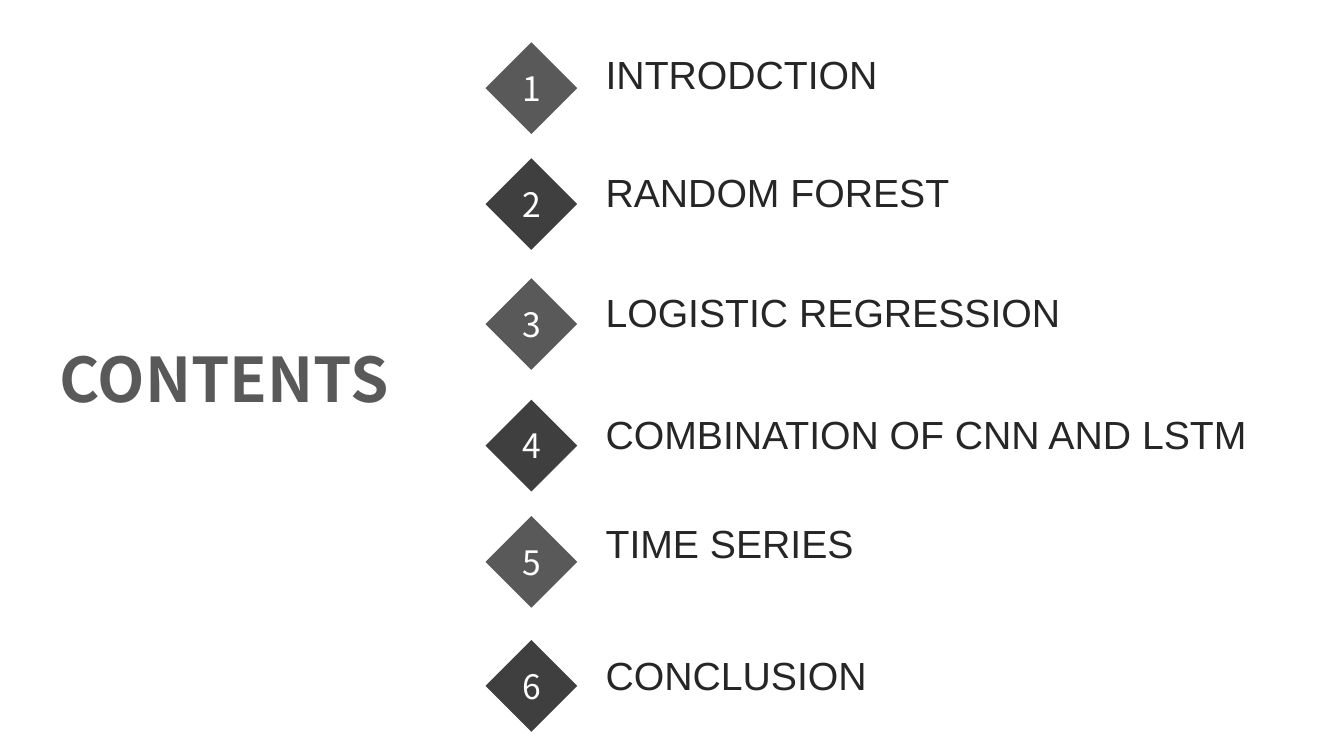
from pptx import Presentation
from pptx.dml.color import RGBColor
from pptx.enum.shapes import MSO_SHAPE
from pptx.enum.text import MSO_ANCHOR, PP_ALIGN
from pptx.util import Pt

HEADING = "CONTENTS"
CHAPTERS = [
    {"label": "INTRODCTION", "diamond_top": 30.2, "label_top": 32.4, "width": 218},
    {"label": "RANDOM FOREST", "diamond_top": 113, "label_top": 116.6, "width": 343},
    {"label": "LOGISTIC REGRESSION", "diamond_top": 198.7, "label_top": 202.3, "width": 401},
    {"label": "COMBINATION OF CNN AND LSTM", "diamond_top": 285.5, "label_top": 289.4, "width": 480},
    {"label": "TIME SERIES", "diamond_top": 368.6, "label_top": 367.2, "width": 218},
    {"label": "CONCLUSION", "diamond_top": 457.2, "label_top": 461.5, "width": 343},
]
DIAMOND_FILLS = ["595959", "3F3F3F"]
DIAMOND_LEFT, DIAMOND_SIZE = 346.8, 65.5
LABEL_LEFT, LABEL_HEIGHT = 425.5, 41

HEADING_FORMAT = {"name": "Noto Sans CJK SC", "size": Pt(44), "bold": True}
NUMBER_FORMAT = {"name": "Noto Sans CJK SC", "size": Pt(24)}
LABEL_FORMAT = {"name": "Arial", "size": Pt(28)}


def paint(target, color):
    target.rgb = RGBColor.from_string(color)


def write(shape, text, formats, color, align, anchor):
    frame = shape.text_frame
    frame.word_wrap = True
    frame.vertical_anchor = anchor
    para = frame.paragraphs[0]
    para.alignment = align
    span = para.add_run()
    span.text = text
    for attribute, value in formats.items():
        setattr(span.font, attribute, value)
    paint(span.font.color, color)


def add_chapter(page, number, chapter):
    diamond = page.shapes.add_shape(
        MSO_SHAPE.DIAMOND, Pt(DIAMOND_LEFT), Pt(chapter["diamond_top"]),
        Pt(DIAMOND_SIZE), Pt(DIAMOND_SIZE))
    diamond.shadow.inherit = False
    diamond.line.fill.background()
    diamond.fill.solid()
    paint(diamond.fill.fore_color, DIAMOND_FILLS[(number - 1) % len(DIAMOND_FILLS)])
    write(diamond, str(number), NUMBER_FORMAT, "FFFFFF", PP_ALIGN.CENTER, MSO_ANCHOR.MIDDLE)

    box = page.shapes.add_textbox(
        Pt(LABEL_LEFT), Pt(chapter["label_top"]), Pt(chapter["width"]), Pt(LABEL_HEIGHT))
    write(box, chapter["label"], LABEL_FORMAT, "262626", PP_ALIGN.LEFT, MSO_ANCHOR.TOP)


def main():
    deck = Presentation()
    deck.slide_width, deck.slide_height = Pt(960), Pt(540)
    page = deck.slides.add_slide(deck.slide_layouts[5])
    page.background.fill.solid()
    paint(page.background.fill.fore_color, "FFFFFF")

    title = page.shapes.title
    title.left, title.top, title.width, title.height = Pt(35.5), Pt(239.8), Pt(264), Pt(60.5)
    write(title, HEADING, HEADING_FORMAT, "595959", PP_ALIGN.LEFT, MSO_ANCHOR.MIDDLE)

    for number, chapter in enumerate(CHAPTERS, start=1):
        add_chapter(page, number, chapter)
    deck.save("out.pptx")


if __name__ == "__main__":
    main()
